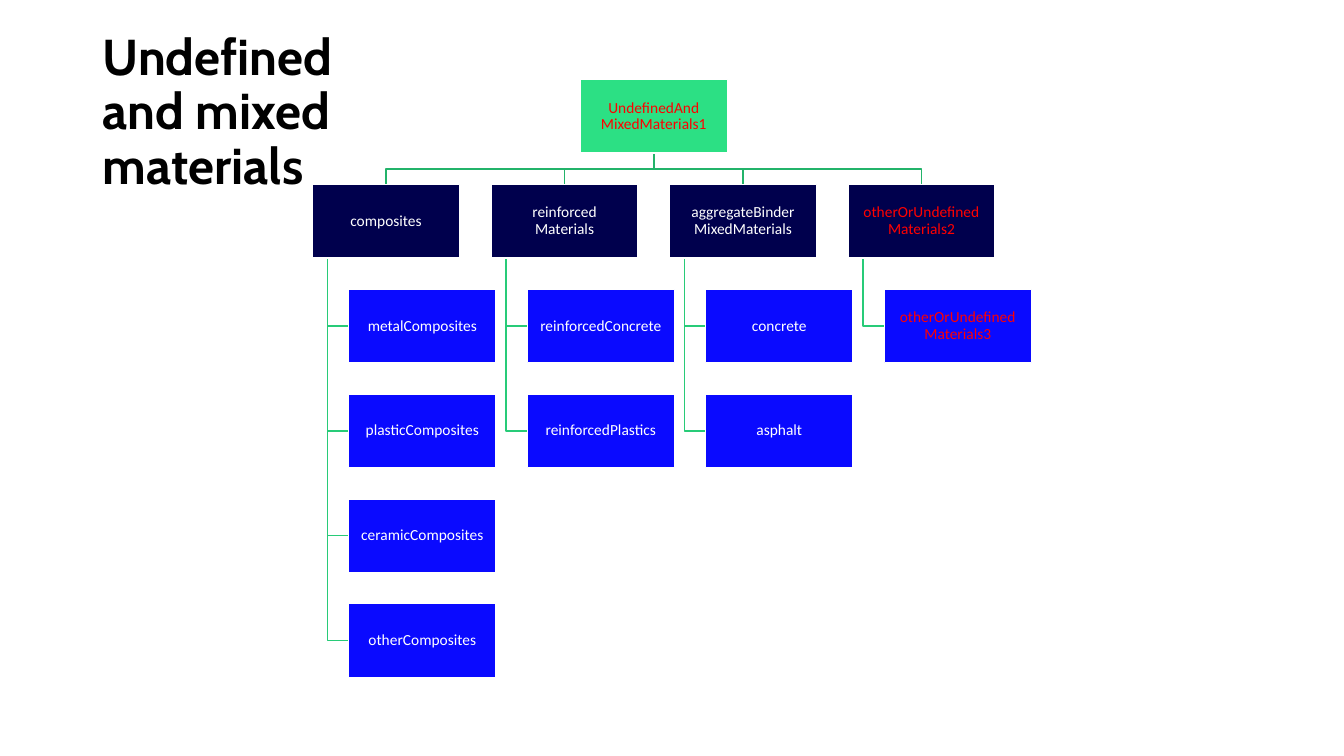
from pptx import Presentation
from pptx.dml.color import RGBColor
from pptx.enum.shapes import MSO_SHAPE
from pptx.enum.text import MSO_ANCHOR, PP_ALIGN
from pptx.util import Inches, Pt

RECT = MSO_SHAPE.RECTANGLE
MIDDLE = MSO_ANCHOR.MIDDLE
CENTER = PP_ALIGN.CENTER

WHITE, RED, BLACK = "FFFFFF", "FF0000", "000000"
ROOT_FILL, GROUP_FILL, LEAF_FILL = "2CE084", "00004D", "0A0AFF"
ROOT_LINE, GROUP_LINE = "23B36A", "28CB78"

LEFT, TOP = 3.1, 0.79
COL_PITCH, ROW_PITCH = 1.77, 1.04
BOX_W, BOX_H = 1.46, 0.73
LEAF_INDENT = 0.36
TRUNK_INDENT = 0.15

ROOT = "UndefinedAnd\vMixedMaterials1"
ROOT_COL = 1.5
GROUPS = [
    ("composites", ["metalComposites", "plasticComposites",
                    "ceramicComposites", "otherComposites"]),
    ("reinforced\vMaterials", ["reinforcedConcrete", "reinforcedPlastics"]),
    ("aggregateBinder\vMixedMaterials", ["concrete", "asphalt"]),
    ("otherOrUndefined\vMaterials2", ["otherOrUndefined\vMaterials3"]),
]


def rgb(value):
    return RGBColor.from_string(value)


def col_x(col):
    return LEFT + col * COL_PITCH


def row_y(row):
    return TOP + row * ROW_PITCH


def write(tf, text, font, size, color, bold=False):
    """Fill a text frame with one styled paragraph and return it."""
    tf.word_wrap = True
    tf.vertical_anchor = MIDDLE
    p = tf.paragraphs[0]
    p.text = text
    p.line_spacing = 0.9
    for r in p.runs:
        r.font.name = font
        r.font.size = Pt(size)
        r.font.bold = bold
        r.font.color.rgb = rgb(color)
    return p


def add_title(s, text):
    box = s.shapes.add_textbox(Inches(0.92), Inches(0.4), Inches(11.5), Inches(1.45))
    write(box.text_frame, text, "Cabin", 36, BLACK, bold=True)


def add_box(s, x, y, text, fill):
    sp = s.shapes.add_shape(RECT, Inches(x), Inches(y), Inches(BOX_W), Inches(BOX_H))
    sp.shadow.inherit = False
    sp.fill.solid()
    sp.fill.fore_color.rgb = rgb(fill)
    sp.line.color.rgb = rgb(WHITE)
    sp.line.width = Pt(1)
    tf = sp.text_frame
    tf.margin_left = tf.margin_right = tf.margin_top = tf.margin_bottom = Inches(0.01)
    # Catch-all classes are the numbered ones
    color = RED if text[-1].isdigit() else WHITE
    write(tf, text, "Calibri", 11, color).alignment = CENTER


def add_branch(s, points, color):
    """Draw an open, unfilled line through the points."""
    start, *rest = [(Inches(x), Inches(y)) for x, y in points]
    builder = s.shapes.build_freeform(*start)
    builder.add_line_segments(rest, close=False)
    sp = builder.convert_to_shape()
    sp.shadow.inherit = False
    sp.fill.background()
    sp.line.color.rgb = rgb(color)
    sp.line.width = Pt(1)


def add_root_branch(s, col):
    root_x, group_x = (col_x(c) + BOX_W / 2 for c in (ROOT_COL, col))
    top, bottom = row_y(0) + BOX_H, row_y(1)
    middle = (top + bottom) / 2
    add_branch(s, [(root_x, top), (root_x, middle), (group_x, middle),
                   (group_x, bottom)], ROOT_LINE)


def add_leaf_branch(s, col, row):
    x = col_x(col) + TRUNK_INDENT
    y = row_y(row) + BOX_H / 2
    add_branch(s, [(x, row_y(1) + BOX_H), (x, y), (col_x(col) + LEAF_INDENT, y)],
               GROUP_LINE)


def main():
    prs = Presentation()
    prs.slide_width, prs.slide_height = Inches(13.33), Inches(7.5)
    s = prs.slides.add_slide(prs.slide_layouts[6])
    add_title(s, "Undefined\vand mixed\vmaterials")

    for col, (_, leaves) in enumerate(GROUPS):
        add_root_branch(s, col)
        for row in range(2, 2 + len(leaves)):
            add_leaf_branch(s, col, row)

    add_box(s, col_x(ROOT_COL), row_y(0), ROOT, ROOT_FILL)
    for col, (group, leaves) in enumerate(GROUPS):
        add_box(s, col_x(col), row_y(1), group, GROUP_FILL)
        for row, leaf in enumerate(leaves, start=2):
            add_box(s, col_x(col) + LEAF_INDENT, row_y(row), leaf, LEAF_FILL)

    prs.save("out.pptx")


if __name__ == "__main__":
    main()
